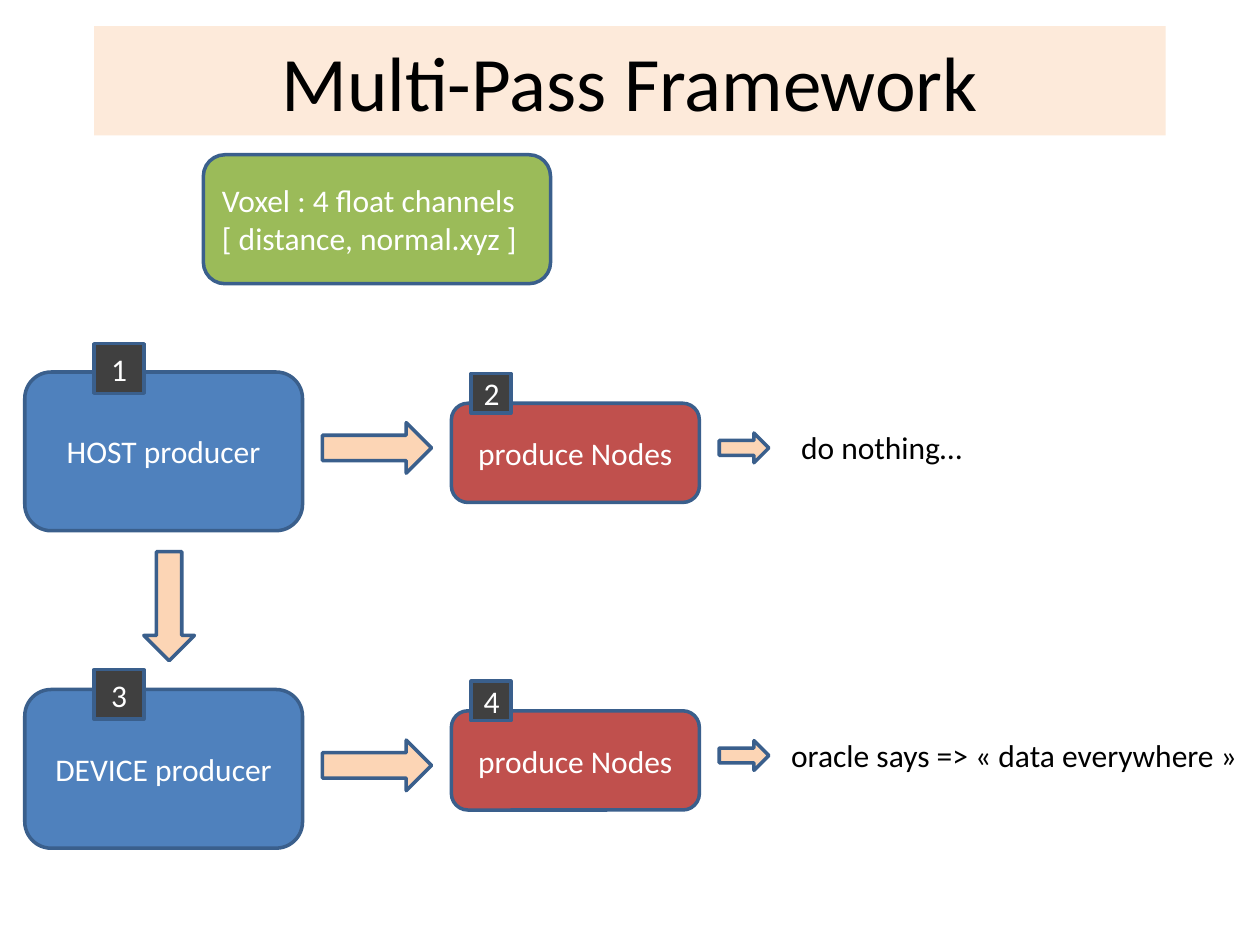
from dataclasses import dataclass

from pptx import Presentation
from pptx.dml.color import RGBColor
from pptx.enum.shapes import MSO_SHAPE
from pptx.enum.text import MSO_ANCHOR, MSO_AUTO_SIZE, PP_ALIGN
from pptx.util import Cm, Pt

RECTANGLE = MSO_SHAPE.RECTANGLE
ROUNDED = MSO_SHAPE.ROUNDED_RECTANGLE
RIGHT_ARROW = MSO_SHAPE.RIGHT_ARROW
DOWN_ARROW = MSO_SHAPE.DOWN_ARROW
MIDDLE = MSO_ANCHOR.MIDDLE
FIT_SHAPE = MSO_AUTO_SIZE.SHAPE_TO_FIT_TEXT
LEFT, CENTER = PP_ALIGN.LEFT, PP_ALIGN.CENTER


@dataclass(frozen=True)
class Theme:
    font: str = "Calibri"
    title_size: int = 44
    body_size: int = 18
    outline_width: int = 2
    banner: str = "FDEADA"
    producer: str = "4F81BD"
    nodes: str = "C0504D"
    voxel: str = "9BBB59"
    arrow: str = "FCD5B5"
    badge: str = "404040"
    outline: str = "3A5F8C"
    dark_text: str = "000000"
    light_text: str = "FFFFFF"


class SlideBuilder:
    """Draws styled elements on one slide; all lengths are in centimetres."""

    def __init__(self, slide, theme):
        self.slide = slide
        self.theme = theme

    def set_text(self, frame, lines, size, color, align):
        for index, line in enumerate(lines):
            paragraph = frame.add_paragraph() if index else frame.paragraphs[0]
            paragraph.text = line
            paragraph.alignment = align
            paragraph.font.name = self.theme.font
            paragraph.font.size = Pt(size)
            paragraph.font.color.rgb = RGBColor.from_string(color)

    def shape(self, kind, box, fill, outlined=True):
        shape = self.slide.shapes.add_shape(kind, *map(Cm, box))
        shape.shadow.inherit = False
        shape.fill.solid()
        shape.fill.fore_color.rgb = RGBColor.from_string(fill)
        if outlined:
            shape.line.color.rgb = RGBColor.from_string(self.theme.outline)
            shape.line.width = Pt(self.theme.outline_width)
        else:
            shape.line.fill.background()
        return shape

    def title(self, text, box):
        frame = self.shape(RECTANGLE, box, self.theme.banner, outlined=False).text_frame
        frame.vertical_anchor = MIDDLE
        self.set_text(frame, [text], self.theme.title_size, self.theme.dark_text, CENTER)

    def block(self, lines, box, fill, kind=ROUNDED, align=CENTER):
        frame = self.shape(kind, box, fill).text_frame
        frame.vertical_anchor = MIDDLE
        self.set_text(frame, lines, self.theme.body_size, self.theme.light_text, align)

    def badge(self, number, left, top, side):
        self.block([str(number)], (left, top, side, side), self.theme.badge, RECTANGLE)

    def arrow(self, kind, box):
        self.shape(kind, box, self.theme.arrow)

    def label(self, text, box, wrap):
        frame = self.slide.shapes.add_textbox(*map(Cm, box)).text_frame
        frame.word_wrap = wrap
        frame.auto_size = FIT_SHAPE
        self.set_text(frame, [text], self.theme.body_size, self.theme.dark_text, LEFT)


@dataclass(frozen=True)
class Pass:
    """One row: a producer, the nodes it makes and the outcome."""
    producer: str
    producer_top: float
    producer_badge_top: float
    nodes_top: float
    first_number: int
    outcome: str
    outcome_left: float
    outcome_width: float
    outcome_wraps: bool


PASSES = [
    Pass("HOST producer", 7.5, 6.93, 8.13, 1, "do nothing…", 15.9, 3.78, False),
    Pass("DEVICE producer", 13.9, 13.5, 14.33, 3,
         "oracle says => « data everywhere »", 15.7, 9.7, True),
]


def draw_pass(builder, row):
    theme = builder.theme
    builder.block([row.producer], (0.5, row.producer_top, 5.6, 3.2), theme.producer)
    builder.badge(row.first_number, 1.9, row.producer_badge_top, 1)
    builder.arrow(RIGHT_ARROW, (6.5, row.producer_top + 1.02, 2.2, 1.02))
    builder.block(["produce Nodes"], (9.1, row.nodes_top, 5, 2), theme.nodes)
    builder.badge(row.first_number + 1, 9.5, row.nodes_top - 0.6, 0.8)
    builder.arrow(RIGHT_ARROW, (14.5, row.nodes_top + 0.6, 1, 0.6))
    builder.label(row.outcome,
                  (row.outcome_left, row.nodes_top + 0.38, row.outcome_width, 1.02),
                  row.outcome_wraps)


def main():
    presentation = Presentation()
    presentation.slide_width, presentation.slide_height = Cm(25.4), Cm(19.05)
    blank = presentation.slide_layouts[6]
    theme = Theme()
    builder = SlideBuilder(presentation.slides.add_slide(blank), theme)

    builder.title("Multi-Pass Framework", (1.9, 0.53, 21.6, 2.2))
    builder.block(["Voxel : 4 float channels", "[ distance, normal.xyz ]"],
                  (4.1, 3.12, 7, 2.6), theme.voxel, align=LEFT)
    for row in PASSES:
        draw_pass(builder, row)
    builder.arrow(DOWN_ARROW, (2.9, 11.12, 1.02, 2.2))

    presentation.save("out.pptx")


if __name__ == "__main__":
    main()
